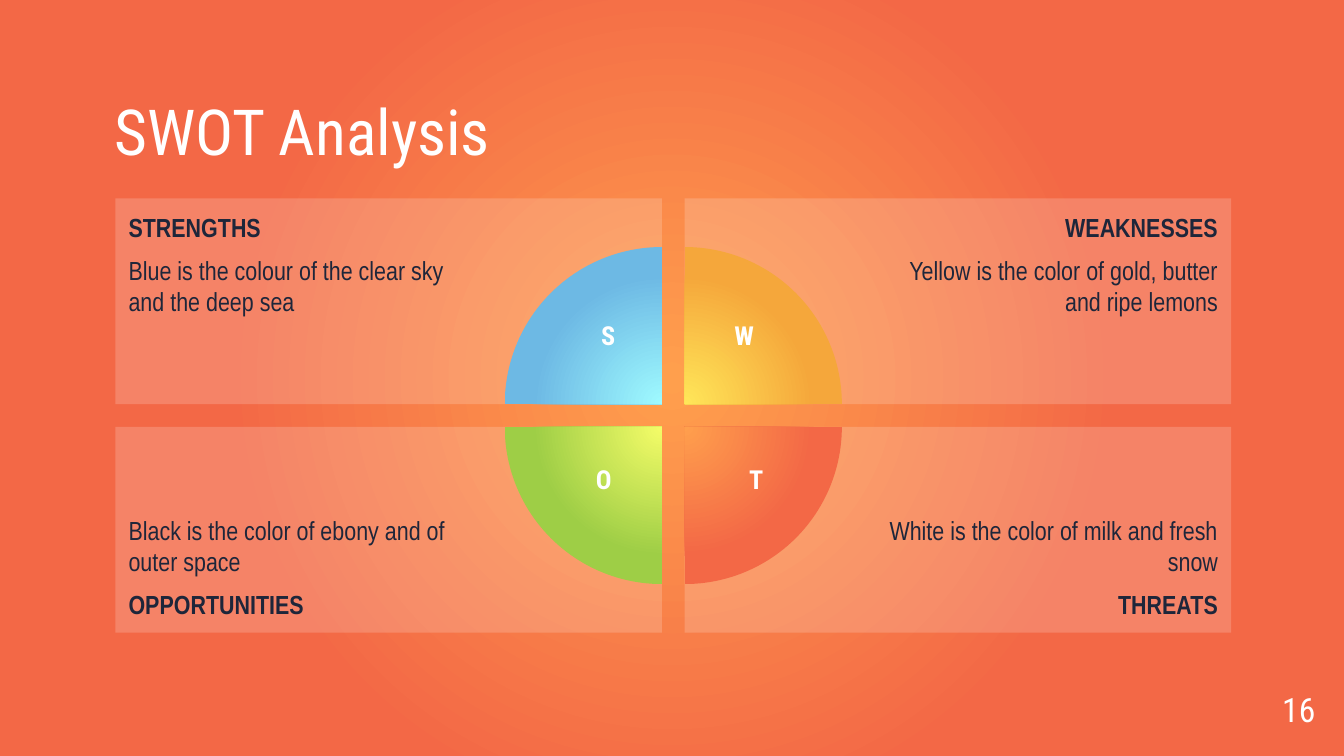
from collections import namedtuple

from lxml import etree
from pptx import Presentation
from pptx.dml.color import RGBColor
from pptx.enum.shapes import MSO_SHAPE
from pptx.enum.text import MSO_ANCHOR, MSO_AUTO_SIZE, PP_ALIGN
from pptx.oxml import parse_xml
from pptx.oxml.ns import nsdecls, qn
from pptx.util import Cm, Pt

RECTANGLE, PIE = MSO_SHAPE.RECTANGLE, MSO_SHAPE.PIE
LEFT, CENTER, RIGHT = PP_ALIGN.LEFT, PP_ALIGN.CENTER, PP_ALIGN.RIGHT
TOP, BOTTOM = MSO_ANCHOR.TOP, MSO_ANCHOR.BOTTOM
NO_AUTOFIT = MSO_AUTO_SIZE.NONE

WHITE = RGBColor(0xFF, 0xFF, 0xFF)
NAVY = RGBColor(0x1E, 0x26, 0x3A)
ORANGE, CORAL = RGBColor(0xFF, 0x9F, 0x4D), RGBColor(0xF3, 0x68, 0x46)
AQUA, BLUE = RGBColor(0x9F, 0xFA, 0xFF), RGBColor(0x6D, 0xB9, 0xE4)
YELLOW, AMBER = RGBColor(0xFF, 0xE6, 0x59), RGBColor(0xF5, 0xA7, 0x3B)
LIME, GREEN = RGBColor(0xF4, 0xFC, 0x68), RGBColor(0x9E, 0xCE, 0x46)

DISPLAY_FONT, BODY_FONT = "Roboto Condensed", "Arial Narrow"
GAP = 0.43
PIE_SIZE = 5.94

Box = namedtuple("Box", "left top width height")
Quadrant = namedtuple(
    "Quadrant", "column row rotation inner outer letter letter_box heading body")

QUADRANTS = [
    Quadrant(0, 0, 0, AQUA, BLUE, "S", Box(-1.4, -1.73, 0.56, 1.14),
             "STRENGTHS", "Blue is the colour of the clear sky and the deep sea"),
    Quadrant(1, 0, 90, YELLOW, AMBER, "W", Box(0.69, -1.73, 0.86, 1.12),
             "WEAKNESSES", "Yellow is the color of gold, butter and ripe lemons"),
    Quadrant(1, 1, 180, ORANGE, CORAL, "T", Box(0.97, 0.56, 0.58, 1.12),
             "THREATS", "White is the color of milk and fresh snow"),
    Quadrant(0, 1, 270, LIME, GREEN, "O", Box(-1.5, 0.56, 0.56, 1.14),
             "OPPORTUNITIES", "Black is the color of ebony and of outer space"),
]


def to_cm(box):
    """Return the four lengths of a box in centimetres."""
    return [Cm(length) for length in box]


def write(frame, *lines, size=14, font=DISPLAY_FONT, color=WHITE, bold=(False,),
          align=LEFT, anchor=TOP, margins=(0, 0, 0, 0), spacing=1.0, gap=0):
    """Fill a text frame with one formatted paragraph for each line."""
    frame.word_wrap = True
    frame.auto_size = NO_AUTOFIT
    frame.vertical_anchor = anchor
    (frame.margin_left, frame.margin_top,
     frame.margin_right, frame.margin_bottom) = to_cm(margins)
    for index, (line, is_bold) in enumerate(zip(lines, bold)):
        paragraph = frame.add_paragraph() if index else frame.paragraphs[0]
        paragraph.alignment = align
        paragraph.line_spacing = spacing
        paragraph.space_before = paragraph.space_after = Pt(gap if index else 0)
        run = paragraph.add_run()
        run.text = line
        run.font.size = Pt(size)
        run.font.name = font
        run.font.bold = is_bold
        run.font.color.rgb = color


def paint_radial(fill, element, inner, outer):
    """Give a fill a circular gradient that runs out from the middle."""
    fill.solid()
    fill.fore_color.rgb = outer
    stops = "".join(
        f'<a:gs pos="{position}"><a:srgbClr val="{color}"/></a:gs>'
        for position, color in ((0, inner), (58000, outer), (100000, outer)))
    gradient = parse_xml(
        f'<a:gradFill {nsdecls("a")} rotWithShape="1"><a:gsLst>{stops}</a:gsLst>'
        '<a:path path="circle"><a:fillToRect l="50000" t="50000" r="50000" '
        'b="50000"/></a:path></a:gradFill>')
    solid = element.find(".//" + qn("a:solidFill"))
    solid.getparent().replace(solid, gradient)


def add_plain_shape(slide, kind, box):
    """Add a preset shape with neither shadow nor outline."""
    shape = slide.shapes.add_shape(kind, *to_cm(box))
    shape.shadow.inherit = False
    shape.line.fill.background()
    return shape


def add_title(slide, box, text):
    """Place the title in its placeholder."""
    title = slide.shapes.title
    title.left, title.top, title.width, title.height = to_cm(box)
    write(title.text_frame, text, size=34, anchor=BOTTOM, spacing=0.9)


def add_page_number(slide, box, number):
    """Place the page number."""
    page_number = slide.shapes.add_textbox(*to_cm(box))
    write(page_number.text_frame, number, size=18, align=RIGHT, anchor=BOTTOM,
          spacing=0.9)


def add_panel(slide, box, quadrant):
    """Place a translucent panel with its heading on the outer edge."""
    panel = add_plain_shape(slide, RECTANGLE, box)
    panel.fill.solid()
    panel.fill.fore_color.rgb = WHITE
    tint = panel.element.find(".//" + qn("a:solidFill"))[0]
    etree.SubElement(tint, qn("a:alpha")).set("val", "18000")
    lines = [(quadrant.heading, True), (quadrant.body, False)]
    if quadrant.row:
        lines.reverse()
    texts, bold = zip(*lines)
    write(panel.text_frame, *texts, bold=bold, font=BODY_FONT, color=NAVY, gap=6,
          align=RIGHT if quadrant.column else LEFT,
          anchor=BOTTOM if quadrant.row else TOP,
          margins=(3.81, 0.25, 0.25, 0.25) if quadrant.column
          else (0.25, 0.25, 3.81, 0.25))


def add_slice(slide, corner, quadrant):
    """Place a quarter pie centred on the inner corner of its panel."""
    x, y = corner
    quarter = add_plain_shape(
        slide, PIE, Box(x - PIE_SIZE / 2, y - PIE_SIZE / 2, PIE_SIZE, PIE_SIZE))
    quarter.adjustments[0] = 108
    quarter.adjustments[1] = 162
    quarter.rotation = quadrant.rotation
    paint_radial(quarter.fill, quarter.element, quadrant.inner, quadrant.outer)


def add_letter(slide, corner, quadrant):
    """Place the initial of a quadrant relative to its inner corner."""
    offset = quadrant.letter_box
    box = offset._replace(left=corner[0] + offset.left, top=corner[1] + offset.top)
    letter = slide.shapes.add_textbox(*to_cm(box))
    write(letter.text_frame, quadrant.letter, bold=(True,), align=CENTER,
          margins=(0.25, 0.13, 0.25, 0.13))


def add_matrix(slide, box):
    """Place the four panels, the divided pie and its letters in a box."""
    width, height = (box.width - GAP) / 2, (box.height - GAP) / 2
    corners = []
    for quadrant in QUADRANTS:
        left = box.left + quadrant.column * (width + GAP)
        top = box.top + quadrant.row * (height + GAP)
        add_panel(slide, Box(left, top, width, height), quadrant)
        corners.append((left + (1 - quadrant.column) * width,
                        top + (1 - quadrant.row) * height))
    for add_part in (add_slice, add_letter):
        for corner, quadrant in zip(corners, QUADRANTS):
            add_part(slide, corner, quadrant)


def main():
    """Build and save the slide."""
    deck = Presentation()
    deck.slide_width, deck.slide_height = Cm(25.4), Cm(14.29)
    slide = deck.slides.add_slide(deck.slide_layouts[5])
    paint_radial(slide.background.fill, slide.element, ORANGE, CORAL)
    add_title(slide, Box(2.16, 2.11, 21.08, 1.09), "SWOT Analysis")
    add_page_number(slide, Box(23.34, 12.9, 1.52, 0.89), "16")
    add_matrix(slide, Box(2.18, 3.75, 21.09, 8.21))
    deck.save("out.pptx")


if __name__ == "__main__":
    main()
